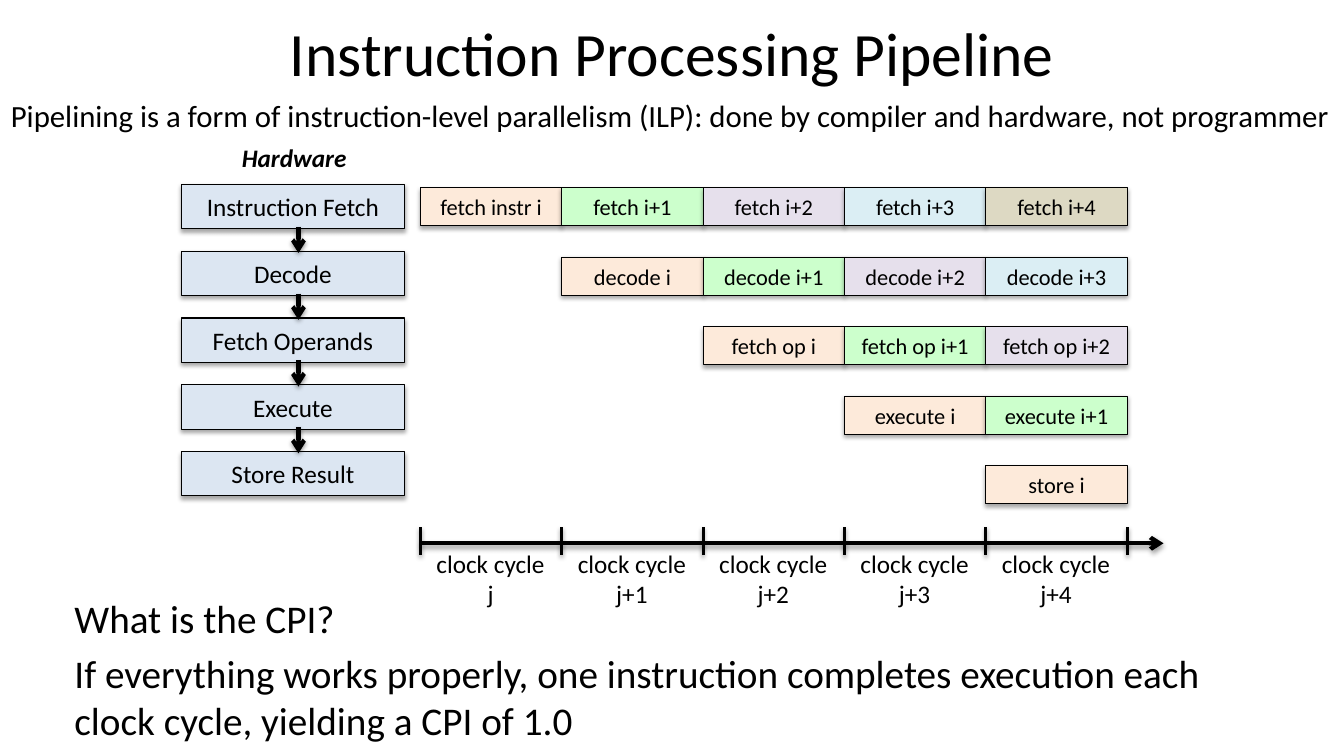
"""Build the instruction processing pipeline slide."""
from lxml.etree import SubElement
from pptx import Presentation
from pptx.dml.color import RGBColor
from pptx.enum.shapes import MSO_CONNECTOR, MSO_SHAPE
from pptx.enum.text import MSO_ANCHOR, PP_ALIGN
from pptx.oxml.ns import qn
from pptx.util import Inches, Pt

BLACK = RGBColor(0x00, 0x00, 0x00)
STAGE_BLUE = RGBColor(0xDC, 0xE6, 0xF2)
PEACH = RGBColor(0xFD, 0xEA, 0xDA)
GREEN = RGBColor(0xCC, 0xFF, 0xCC)
LAVENDER = RGBColor(0xE6, 0xE0, 0xEC)
AQUA = RGBColor(0xDB, 0xEE, 0xF4)
TAN = RGBColor(0xDD, 0xD9, 0xC3)

HARDWARE = ["Instruction Fetch", "Decode", "Fetch Operands", "Execute", "Store Result"]
STEPS = ["fetch", "decode", "fetch op", "execute", "store"]
INSTRUCTIONS = [PEACH, GREEN, LAVENDER, AQUA, TAN]


class Deck:
    def __init__(self, prs):
        self.font = {"name": "Calibri"}
        self.s = prs.slides.add_slide(prs.slide_layouts[5])

    def set_text(self, sp, lines, size, align=PP_ALIGN.LEFT, before=0, wrap=True,
                 anchor=MSO_ANCHOR.TOP, **style):
        tf = sp.text_frame
        tf.word_wrap = wrap
        tf.vertical_anchor = anchor
        tf.text = "\n".join(lines)
        for p in tf.paragraphs:
            p.alignment = align
            p.space_before = Pt(before)
            r = p.runs[0]
            for key, value in {**self.font, "size": Pt(size), **style}.items():
                setattr(r.font, key, value)
            r.font.color.rgb = BLACK

    def shadow(self, sp, dist, alpha):
        effects = SubElement(sp._element.spPr, qn("a:effectLst"))
        outer = SubElement(effects, qn("a:outerShdw"), blurRad="40000", dist=str(dist),
                           dir="5400000", rotWithShape="0")
        color = SubElement(outer, qn("a:srgbClr"), val=str(BLACK))
        SubElement(color, qn("a:alpha"), val=str(alpha * 1000))

    def title(self, text, x, y, w, h):
        sp = self.s.shapes.title
        box = {"left": x, "top": y, "width": w, "height": h}
        for key, value in box.items():
            setattr(sp, key, Inches(value))
        self.set_text(sp, [text], 44, PP_ALIGN.CENTER, anchor=MSO_ANCHOR.MIDDLE)

    def text(self, lines, x, y, w, h, size, **style):
        sp = self.s.shapes.add_textbox(Inches(x), Inches(y), Inches(w), Inches(h))
        self.set_text(sp, lines, size, **style)

    def box(self, text, x, y, w, h, fill, size):
        sp = self.s.shapes.add_shape(MSO_SHAPE.RECTANGLE, Inches(x), Inches(y),
                                     Inches(w), Inches(h))
        sp.fill.solid()
        sp.fill.fore_color.rgb = fill
        sp.line.color.rgb = BLACK
        sp.line.width = Pt(0.75)
        self.shadow(sp, 23000, 35)
        self.set_text(sp, [text], size, PP_ALIGN.CENTER, anchor=MSO_ANCHOR.MIDDLE)

    def line(self, x1, y1, x2, y2, width, arrow=False):
        sp = self.s.shapes.add_connector(MSO_CONNECTOR.STRAIGHT, Inches(x1), Inches(y1),
                                         Inches(x2), Inches(y2))
        sp.line.color.rgb = BLACK
        sp.line.width = Pt(width)
        if arrow:
            SubElement(sp._element.spPr.find(qn("a:ln")), qn("a:tailEnd"), type="arrow")
        self.shadow(sp, 20000, 38)


prs = Presentation()
prs.slide_width, prs.slide_height = Inches(13.33), Inches(7.5)
deck = Deck(prs)

deck.title("Instruction Processing Pipeline", 2.17, 0.04, 9, 0.95)
deck.text(["What is the CPI?",
           "If everything works properly, one instruction completes execution each "
           "clock cycle, yielding a CPI of 1.0"], 0.64, 5.85, 12, 1.65, 28, before=5.6)

stage_top, stage_step = 1.83, 2.65 / 4
for i, name in enumerate(HARDWARE):
    deck.box(name, 1.8, stage_top + i * stage_step, 2.21, 0.44, STAGE_BLUE, 18)
deck.text(["Hardware"], 2.3, 1.36, 1.25, 0.4, 18, wrap=False, bold=True, italic=True)
for i in range(len(HARDWARE) - 1):
    y = 2.25 + i * stage_step
    deck.line(2.96, y, 2.96, y + 0.26, 3, arrow=True)

cycle_left, cycle_width = 4.17, 7.01 / 5
step_top, step_gap = 1.86, 0.69
deck.line(cycle_left, 5.39, 11.54, 5.39, 3, arrow=True)
for cycle in range(len(STEPS) + 1):
    x = cycle_left + cycle * cycle_width
    deck.line(x, 5.23, x, 5.51, 2)

for i, fill in enumerate(INSTRUCTIONS):
    suffix = f"+{i}" if i else ""
    x = cycle_left + i * cycle_width
    deck.text([f"clock cycle j{suffix}"], x + 0.02, 5.39, 1.35, 0.71, 18,
              align=PP_ALIGN.CENTER)
    for row, step in enumerate(STEPS[:len(STEPS) - i]):
        label = f"{step} i{suffix}" if i or row else "fetch instr i"
        deck.box(label, x + row * cycle_width, step_top + row * step_gap,
                 cycle_width, 0.38, fill, 16)

deck.text(["Pipelining is a form of instruction-level parallelism (ILP): "
           "done by compiler and hardware, not programmer"], 0.01, 0.91, 13.33, 0.47, 22)

prs.save("out.pptx")
